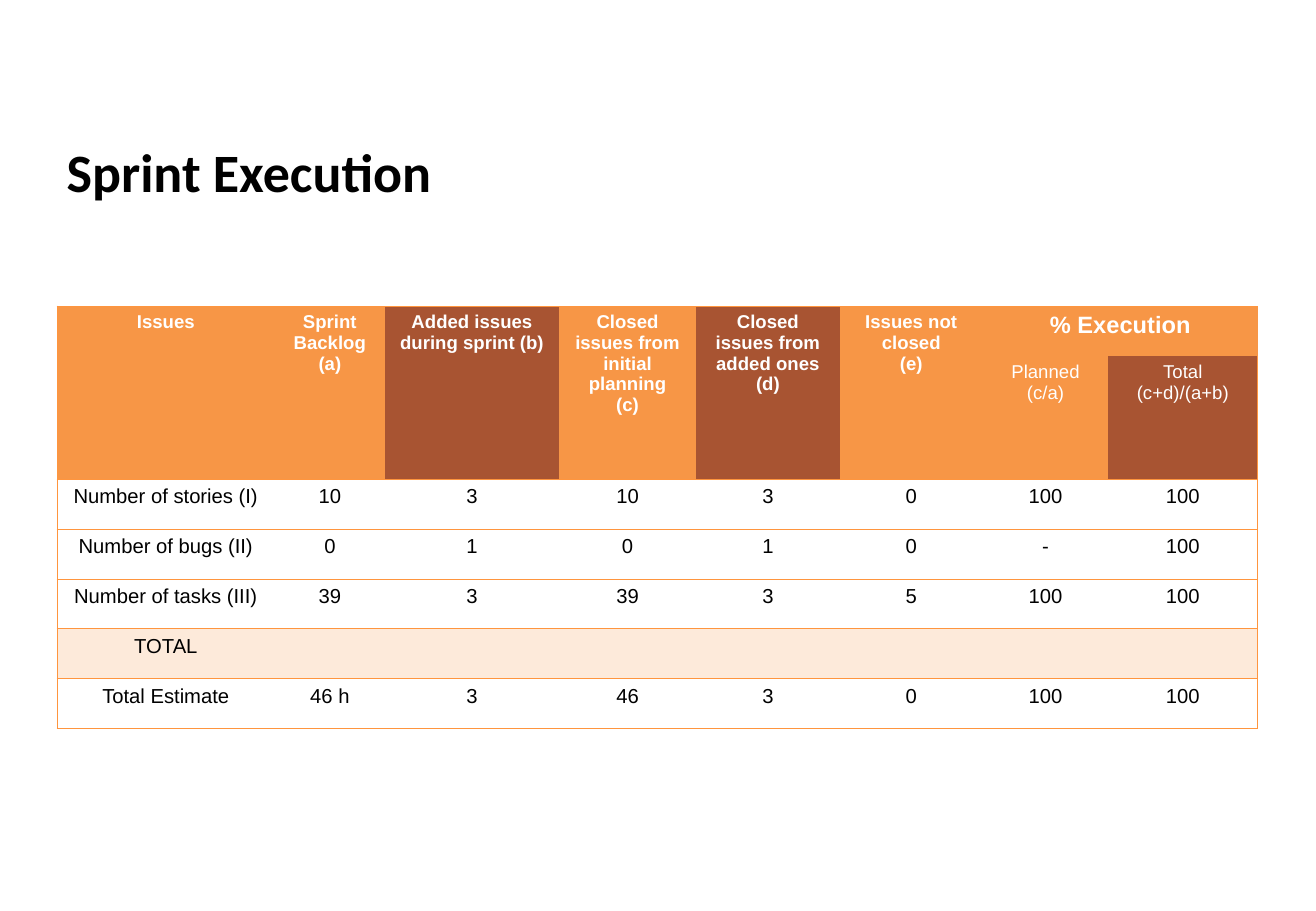
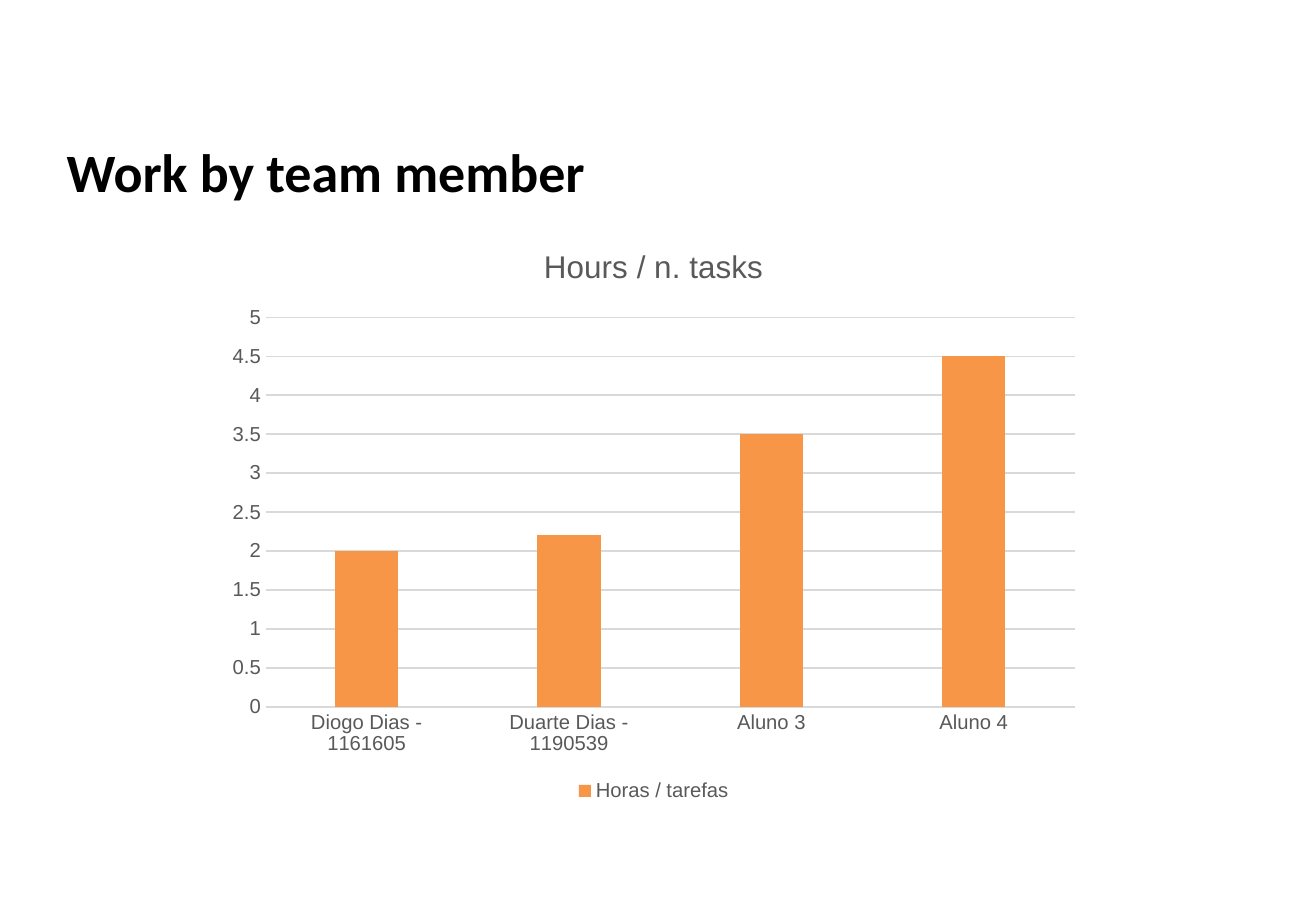
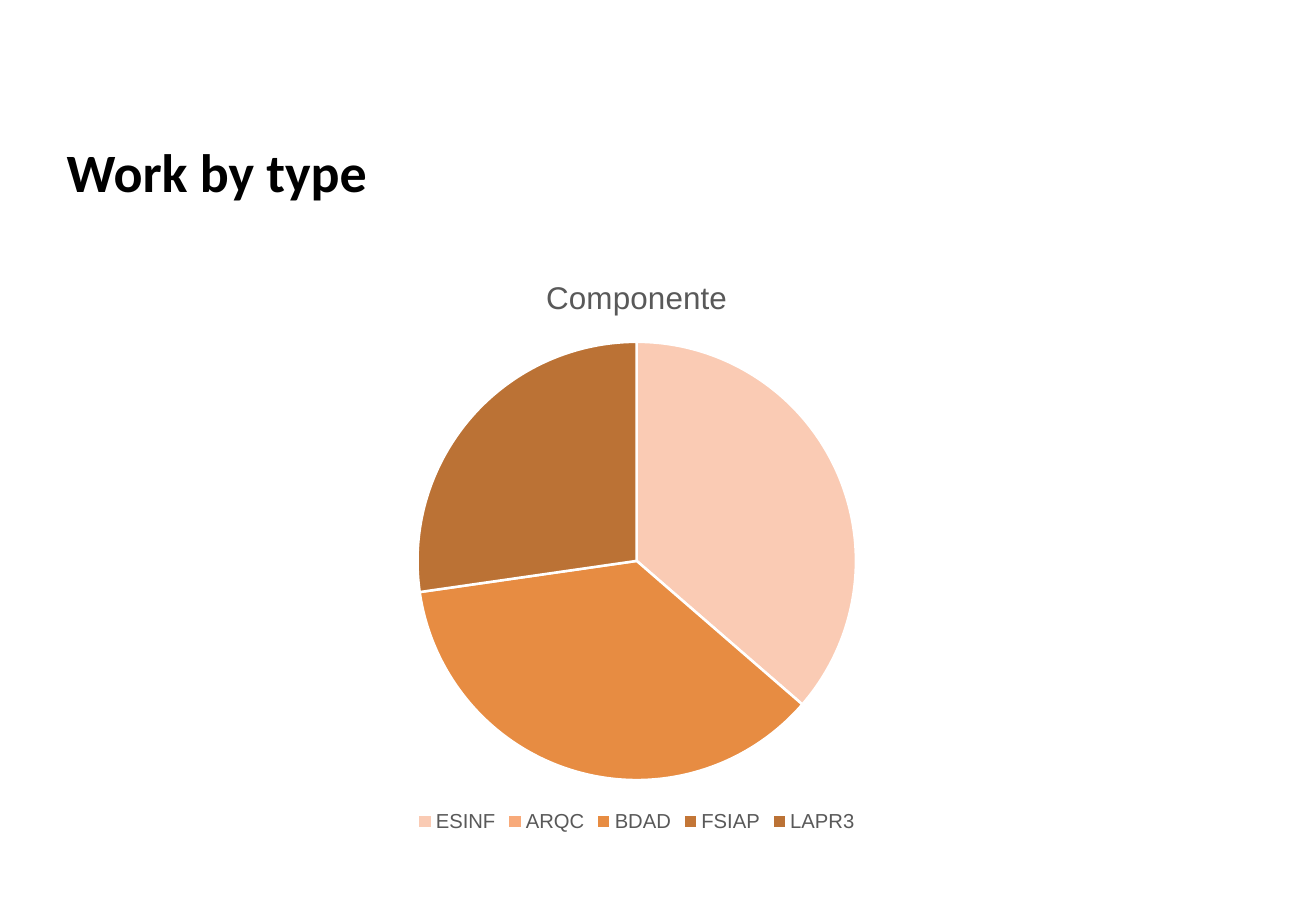
"""Build the sprint report slides: execution table, hours chart and work type chart."""
from pptx import Presentation
from pptx.chart.data import CategoryChartData
from pptx.dml.color import RGBColor
from pptx.enum.chart import XL_CHART_TYPE as ChartType
from pptx.enum.chart import XL_LEGEND_POSITION as LegendPosition
from pptx.enum.chart import XL_TICK_MARK as TickMark
from pptx.enum.text import PP_ALIGN as Align
from pptx.oxml import parse_xml
from pptx.oxml.ns import nsdecls
from pptx.util import Emu, Pt

PX = 9144
ORANGE, RUST, PEACH, BORDER = "F79646", "A85432", "FDEADA", "FF953E"
WHITE, BLACK, GRAY, GRID = "FFFFFF", "000000", "595959", "D9D9D9"
NO_GRID_STYLE = "{2D5ABB26-0587-4C30-8999-92F81FD0307C}"

COLUMN_WIDTHS = [179, 91, 143, 113, 118, 118, 103, 123]
HEADINGS = [
    "Issues",
    "Sprint Backlog\n(a)",
    "Added issues during sprint (b)",
    "Closed issues from initial planning\n(c)",
    "Closed issues from added ones (d)",
    "Issues not closed\n(e)",
    "% Execution",
    "",
]
SUBHEADINGS = [""] * 6 + ["Planned\n(c/a)", "Total\n(c+d)/(a+b)"]
ISSUE_ROWS = [
    ["Number of stories (I)", "10", "3", "10", "3", "0", "100", "100"],
    ["Number of bugs (II)", "0", "1", "0", "1", "0", "-", "100"],
    ["Number of tasks (III)", "39", "3", "39", "3", "5", "100", "100"],
    ["TOTAL"] + [""] * 7,
    ["Total Estimate", "46 h", "3", "46", "3", "0", "100", "100"],
]
RUST_CELLS = {(0, 2), (0, 4), (1, 2), (1, 4), (1, 7)}
HOURS = {"Diogo Dias - 1161605": 2, "Duarte Dias - 1190539": 2.2, "Aluno 3": 3.5, "Aluno 4": 4.5}
COMPONENTS = {"ESINF": 36, "ARQC": 0, "BDAD": 36, "FSIAP": 0, "LAPR3": 27}
COMPONENT_COLORS = ["FACBB4", "F8AA7A", "E78C42", "C37637", "BB7235"]


def px(*lengths):
    return [Emu(length * PX) for length in lengths]


def color(value):
    return RGBColor.from_string(value)


def set_font(font, size, value, name="Arial", bold=False):
    font.size, font.name, font.bold = Pt(size), name, bold
    font.color.rgb = color(value)


def set_fill(fill, value):
    fill.solid()
    fill.fore_color.rgb = color(value)


def set_line(line, value, width=0.75):
    line.width = Pt(width)
    line.color.rgb = color(value)


class Deck:
    def __init__(self, width, height):
        self.presentation = Presentation()
        self.presentation.slide_width, self.presentation.slide_height = px(width, height)
        self.slide = None

    def add_slide(self, title):
        self.slide = self.presentation.slides.add_slide(self.presentation.slide_layouts[6])
        shape = self.slide.shapes.add_textbox(*px(45, 109, 989, 63))
        shape.text_frame.word_wrap = True
        paragraph = shape.text_frame.paragraphs[0]
        paragraph.text = title
        set_font(paragraph.runs[0].font, 32, BLACK, "Calibri", True)

    def add_table(self, left, top, widths, row_height, rows):
        shape = self.slide.shapes.add_table(
            len(rows), len(widths), *px(left, top, sum(widths), row_height * len(rows)))
        table = shape.table
        table.first_row = table.horz_banding = False
        table._tbl.tblPr.find("{*}tableStyleId").text = NO_GRID_STYLE
        for column, width in zip(table.columns, widths):
            column.width = px(width)[0]
        for row in table.rows:
            row.height = px(row_height)[0]
        for row_index, texts in enumerate(rows):
            for column_index, text in enumerate(texts):
                sides = "L" * (column_index == 0) + "R" * (column_index == len(widths) - 1)
                sides += "TB" if row_index > 1 else "T" if row_index == 0 else "B"
                cell = table.cell(row_index, column_index)
                self.border_cell(cell, sides)
                self.fill_cell(cell, text, row_index, column_index)
        return table

    def border_cell(self, cell, sides):
        properties = cell._tc.get_or_add_tcPr()
        for side in sides:
            properties.append(parse_xml(
                f'<a:ln{side} {nsdecls("a")} w="9525"><a:solidFill>'
                f'<a:srgbClr val="{BORDER}"/></a:solidFill></a:ln{side}>'))

    def fill_cell(self, cell, text, row_index, column_index):
        header = row_index < 2
        if header:
            set_fill(cell.fill, RUST if (row_index, column_index) in RUST_CELLS else ORANGE)
        else:
            set_fill(cell.fill, PEACH if row_index == 5 else WHITE)
        if not text:
            return
        size = 14 if text == "% Execution" else 11 if header else 12
        cell.text_frame.text = text
        for paragraph in cell.text_frame.paragraphs:
            paragraph.alignment = Align.CENTER
            for run in paragraph.runs:
                set_font(run.font, size, WHITE if header else BLACK, bold=row_index == 0)

    def add_chart(self, chart_type, left, top, title, series_name, values):
        data = CategoryChartData()
        data.categories = list(values)
        data.add_series(series_name, list(values.values()))
        chart = self.slide.shapes.add_chart(chart_type, *px(left, top, 722, 481), data).chart
        set_font(chart.font, 10, BLACK)
        chart.has_title = True
        chart.chart_title.text_frame.text = title
        set_font(chart.chart_title.text_frame.paragraphs[0].runs[0].font, 18.6, GRAY)
        chart.chart_title.include_in_layout = False
        chart.has_legend = True
        chart.legend.position = LegendPosition.BOTTOM
        chart.legend.include_in_layout = False
        set_font(chart.legend.font, 12, GRAY)
        return chart

    def add_column_chart(self, *arguments):
        chart = self.add_chart(ChartType.COLUMN_CLUSTERED, *arguments)
        plot = chart.plots[0]
        plot.gap_width, plot.overlap, plot.vary_by_categories = 219, -27, False
        set_fill(plot.series[0].format.fill, ORANGE)
        for axis in (chart.category_axis, chart.value_axis):
            axis.major_tick_mark = axis.minor_tick_mark = TickMark.NONE
            set_font(axis.tick_labels.font, 12, GRAY)
        set_line(chart.category_axis.format.line, GRID)
        axis = chart.value_axis
        axis.minimum_scale, axis.maximum_scale, axis.major_unit = 0, 5, 0.5
        axis.format.line.fill.background()
        set_line(axis.major_gridlines.format.line, GRID)

    def add_pie_chart(self, colors, *arguments):
        plot = self.add_chart(ChartType.PIE, *arguments).plots[0]
        plot.vary_by_categories = True
        for index, value in enumerate(colors):
            point_format = plot.series[0].points[index].format
            set_fill(point_format.fill, value)
            set_line(point_format.line, WHITE, 1.5)


def main():
    deck = Deck(1083, 750)

    deck.add_slide("Sprint Execution")
    table = deck.add_table(47, 252, COLUMN_WIDTHS, 41, [HEADINGS, SUBHEADINGS] + ISSUE_ROWS)
    for column_index in range(6):
        table.cell(0, column_index).merge(table.cell(1, column_index))
    table.cell(0, 6).merge(table.cell(0, 7))

    deck.add_slide("Work by team member")
    deck.add_column_chart(177, 183, "Hours / n. tasks", "Horas / tarefas", HOURS)

    deck.add_slide("Work by type")
    deck.add_pie_chart(COMPONENT_COLORS, 163, 208, "Componente", "Series 1", COMPONENTS)

    deck.presentation.save("out.pptx")


if __name__ == "__main__":
    main()
